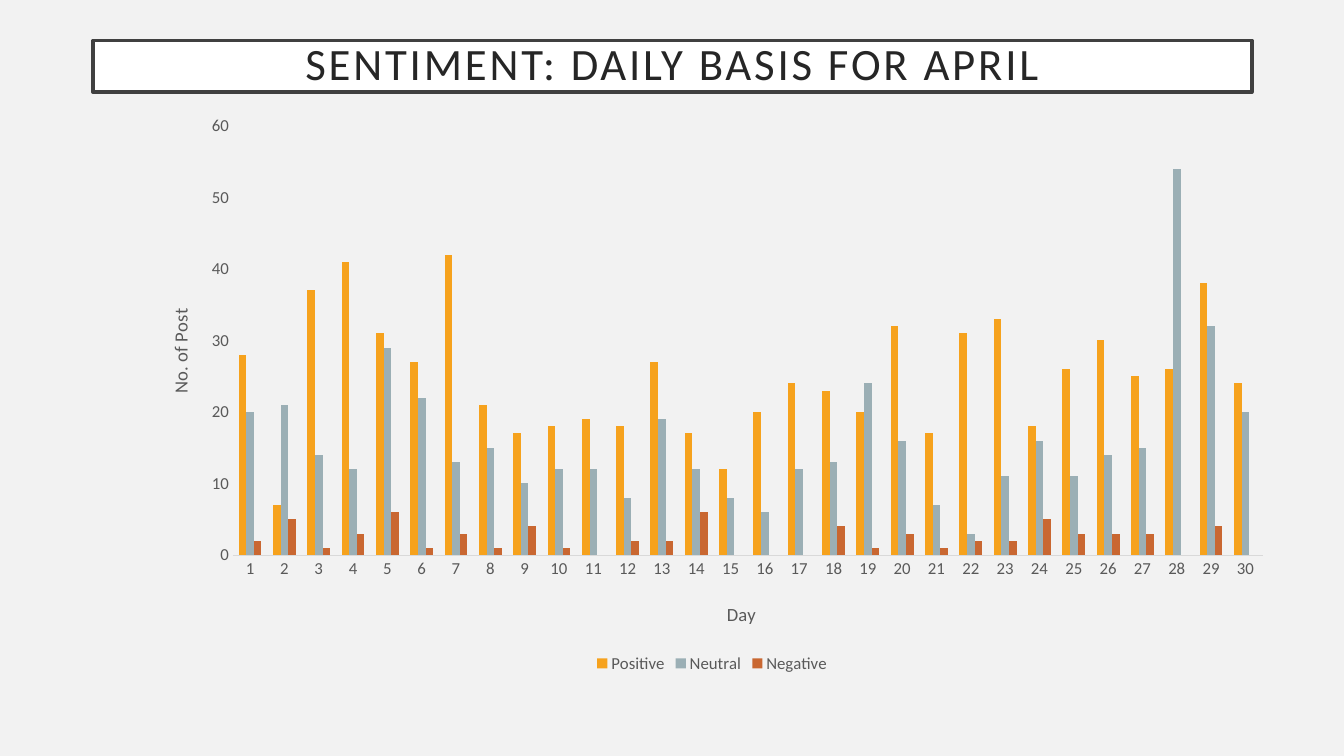
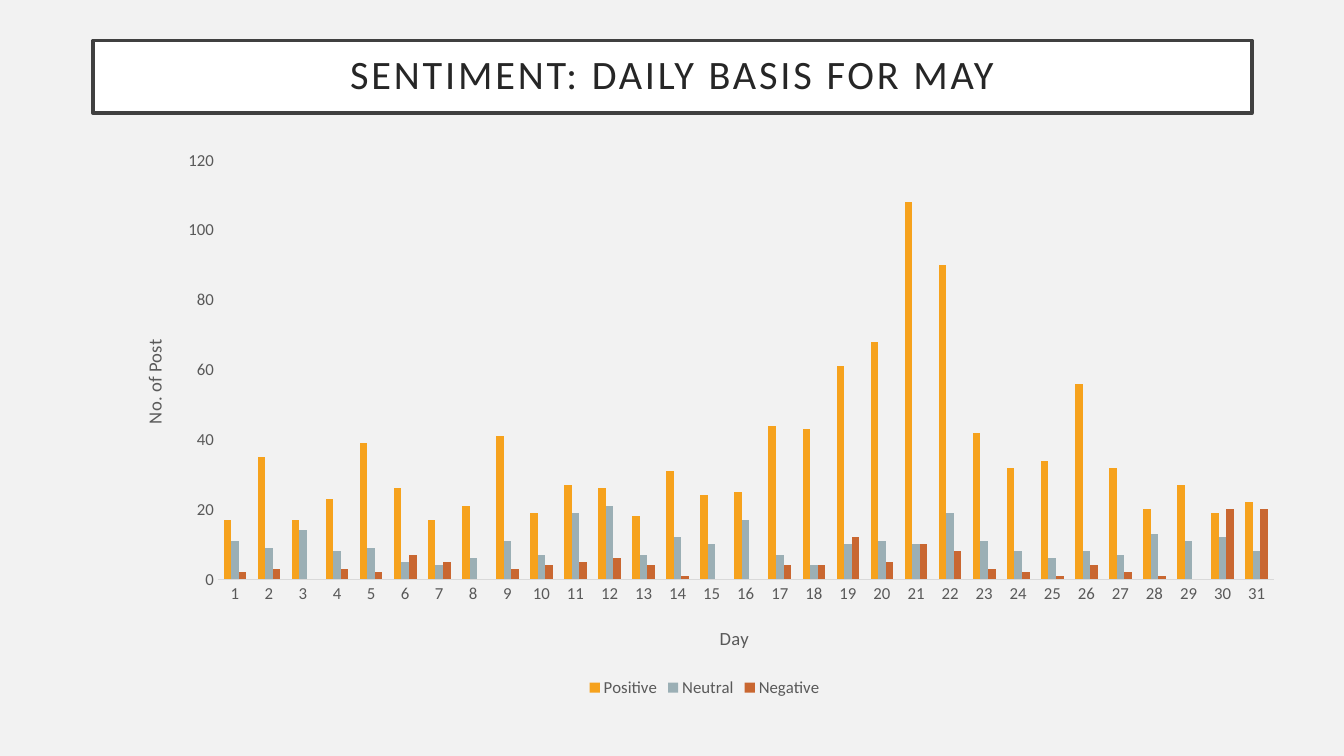
from lxml.etree import SubElement
from pptx import Presentation
from pptx.chart.data import CategoryChartData
from pptx.dml.color import RGBColor
from pptx.enum.chart import XL_CHART_TYPE, XL_LEGEND_POSITION, XL_TICK_MARK
from pptx.enum.text import MSO_ANCHOR, MSO_AUTO_SIZE, PP_ALIGN
from pptx.oxml.ns import qn
from pptx.util import Cm, Pt

# Content
SENTIMENTS = ("Positive", "Neutral", "Negative")
DAY_LABEL, POSTS_LABEL = "Day", "No. of Post"
MONTHS = [
    {
        "title": "SENTIMENT: DAILY BASIS FOR APRIL",
        "title_size": 32, "title_height": 1.3,
        "chart_box": (3.48, 2.64, 28.93, 14.43),
        "plot_left": 2.39, "top_value": 60, "step": 10,
        "posts": [
            [28, 7, 37, 41, 31, 27, 42, 21, 17, 18, 19, 18, 27, 17, 12,
             20, 24, 23, 20, 32, 17, 31, 33, 18, 26, 30, 25, 26, 38, 24],
            [20, 21, 14, 12, 29, 22, 13, 15, 10, 12, 12, 8, 19, 12, 8,
             6, 12, 13, 24, 16, 7, 3, 11, 16, 11, 14, 15, 54, 32, 20],
            [2, 5, 1, 3, 6, 1, 3, 1, 4, 1, None, 2, 2, 6, None,
             None, None, 4, 1, 3, 1, 2, 2, 5, 3, 3, 3, None, 4, None],
        ],
    },
    {
        "title": "SENTIMENT: DAILY BASIS FOR MAY",
        "title_size": 28.8, "title_height": 1.83,
        "chart_box": (2.82, 3.51, 29.87, 14.17),
        "plot_left": 2.67, "top_value": 120, "step": 20,
        "posts": [
            [17, 35, 17, 23, 39, 26, 17, 21, 41, 19, 27, 26, 18, 31, 24, 25,
             44, 43, 61, 68, 108, 90, 42, 32, 34, 56, 32, 20, 27, 19, 22],
            [11, 9, 14, 8, 9, 5, 4, 6, 11, 7, 19, 21, 7, 12, 10, 17,
             7, 4, 10, 11, 10, 19, 11, 8, 6, 8, 7, 13, 11, 12, 8],
            [2, 3, None, 3, 2, 7, 5, None, 3, 4, 5, 6, 4, 1, None, None,
             4, 4, 12, 5, 10, 8, 3, 2, 1, 4, 2, 1, None, 20, 20],
        ],
    },
]

# Shared look
FONT = "Calibri"
COLORS = {
    "background": "F2F2F2", "band": "FFFFFF", "border": "404040",
    "title": "262626", "label": "595959", "axis": "D9D9D9",
    "Positive": "F6A21D", "Neutral": "9BAFB5", "Negative": "C96731",
}
PLOT_TOP, PLOT_RIGHT, PLOT_BOTTOM = 0.53, 0.59, 3.08


def color(name):
    return RGBColor.from_string(COLORS[name])


def style_font(font, size, name):
    font.name, font.size, font.bold = FONT, Pt(size), False
    font.color.rgb = color(name)


def write_text(frame, text, size, ink, spacing=0, line_spacing=None):
    paragraph = frame.paragraphs[0]
    paragraph.alignment = PP_ALIGN.CENTER
    paragraph.line_spacing = line_spacing
    run = paragraph.add_run()
    run.text = text
    style_font(run.font, size, ink)
    if spacing:
        run.font._element.set("spc", str(spacing * 100))


def place_part(part, position, **fractions):
    """Give a chart part a manual layout, in fractions of the chart."""
    for old in part.findall(qn("c:layout")):
        part.remove(old)
    layout = part.makeelement(qn("c:layout"))
    part.insert(position, layout)
    manual = SubElement(layout, qn("c:manualLayout"))
    settings = {"xMode": "edge", "yMode": "edge", **fractions}
    if "w" in fractions:
        settings = {"layoutTarget": "inner", **settings}
    for tag, value in settings.items():
        SubElement(manual, qn(f"c:{tag}")).set("val", str(value))


def add_title(slide, month):
    title = slide.shapes.title
    title.left, title.top = Cm(2.34), Cm(1.02)
    title.width, title.height = Cm(29.21), Cm(month["title_height"])
    title.fill.solid()
    title.fill.fore_color.rgb = color("band")
    title.line.color.rgb = color("border")
    title.line.width = Pt(2.5)
    frame = title.text_frame
    frame.word_wrap, frame.auto_size = True, MSO_AUTO_SIZE.NONE
    frame.vertical_anchor = MSO_ANCHOR.MIDDLE
    frame.margin_left = frame.margin_right = Cm(0.51)
    frame.margin_top = frame.margin_bottom = Cm(0.51)
    write_text(frame, month["title"], month["title_size"], "title",
               spacing=2, line_spacing=0.9)


def style_axis(axis, label, x, y, turn=0):
    axis.has_major_gridlines = False
    axis.major_tick_mark = axis.minor_tick_mark = XL_TICK_MARK.NONE
    style_font(axis.tick_labels.font, 12, "label")
    frame = axis.axis_title.text_frame
    frame._txBody.bodyPr.set("rot", str(turn * 60000))
    write_text(frame, label, 13.3, "label")
    place_part(axis.axis_title._element, 1, x=x, y=y)


def add_sentiment_chart(slide, month):
    data = CategoryChartData()
    data.categories = [str(day + 1) for day in range(len(month["posts"][0]))]
    for sentiment, posts in zip(SENTIMENTS, month["posts"]):
        data.add_series(sentiment, posts)
    box = month["chart_box"]
    chart = slide.shapes.add_chart(
        XL_CHART_TYPE.COLUMN_CLUSTERED, *map(Cm, box), data).chart
    chart.has_title = False
    chart.font.name, chart.font.size = FONT, Pt(10)

    # Columns
    plot = chart.plots[0]
    plot.gap_width, plot.overlap, plot.vary_by_categories = 150, 0, False
    for series in plot.series:
        series.format.fill.solid()
        series.format.fill.fore_color.rgb = color(series.name)
        series.invert_if_negative = False

    # Axes and plot area
    width, height = box[2:]
    days, counts = chart.category_axis, chart.value_axis
    style_axis(days, DAY_LABEL, x=0.51, y=1 - 2 / height)
    days.format.line.color.rgb = color("axis")
    days.format.line.width = Pt(0.75)
    style_axis(counts, POSTS_LABEL, x=0.66 / width, y=0.35, turn=-90)
    counts.format.line.fill.background()
    counts.minimum_scale, counts.maximum_scale = 0, month["top_value"]
    counts.major_unit = month["step"]
    left = month["plot_left"]
    place_part(chart._chartSpace.chart.plotArea, 0,
               x=left / width, y=PLOT_TOP / height,
               w=(width - left - PLOT_RIGHT) / width,
               h=(height - PLOT_TOP - PLOT_BOTTOM) / height)

    # Legend
    chart.has_legend = True
    chart.legend.position = XL_LEGEND_POSITION.BOTTOM
    chart.legend.include_in_layout = False
    style_font(chart.legend.font, 12, "label")


def main():
    deck = Presentation()
    deck.slide_width, deck.slide_height = Cm(33.87), Cm(19.05)
    background = deck.slide_master.background.fill
    background.solid()
    background.fore_color.rgb = color("background")
    for month in MONTHS:
        slide = deck.slides.add_slide(deck.slide_layouts.get_by_name("Title Only"))
        add_title(slide, month)
        add_sentiment_chart(slide, month)
    deck.save("out.pptx")


if __name__ == "__main__":
    main()
